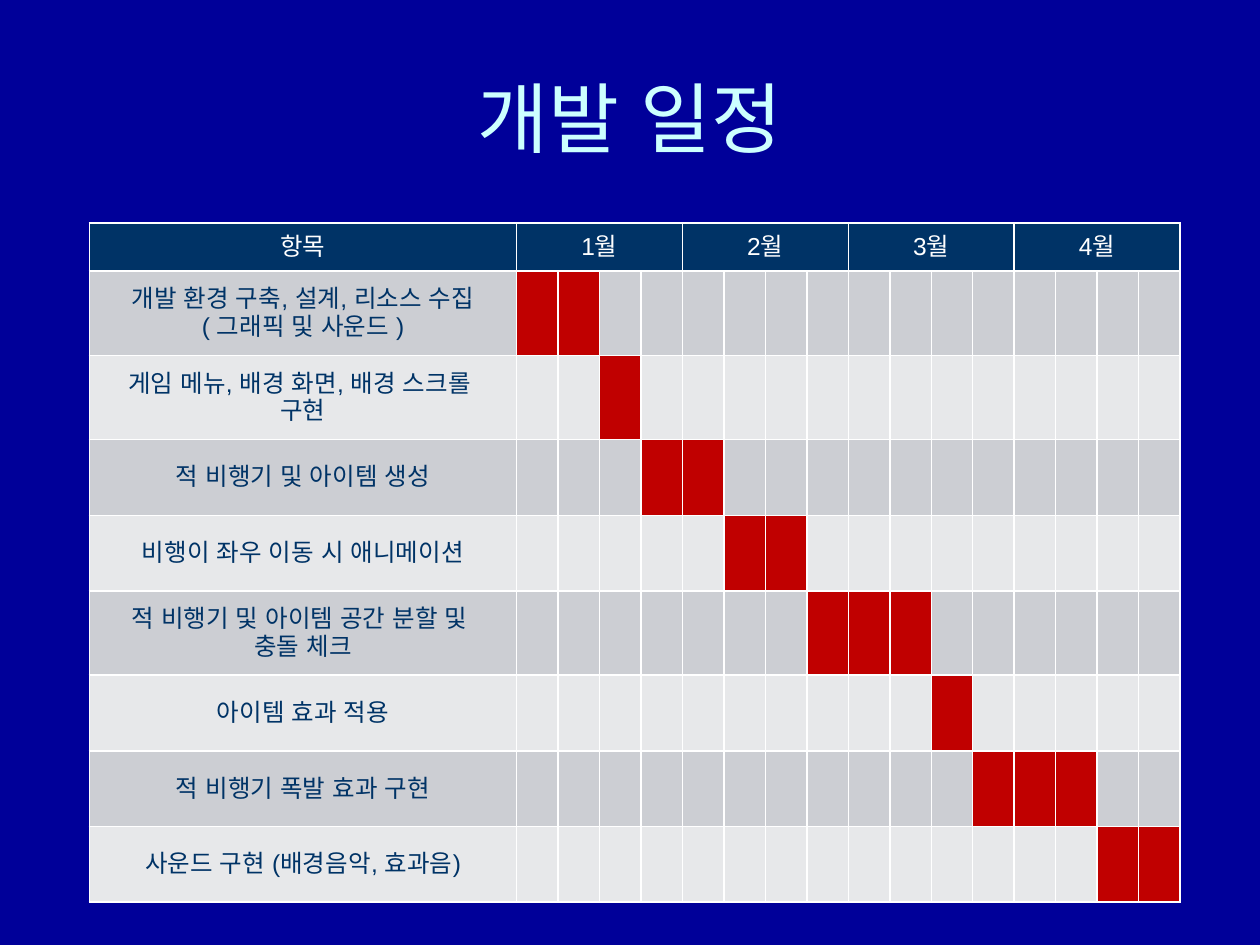
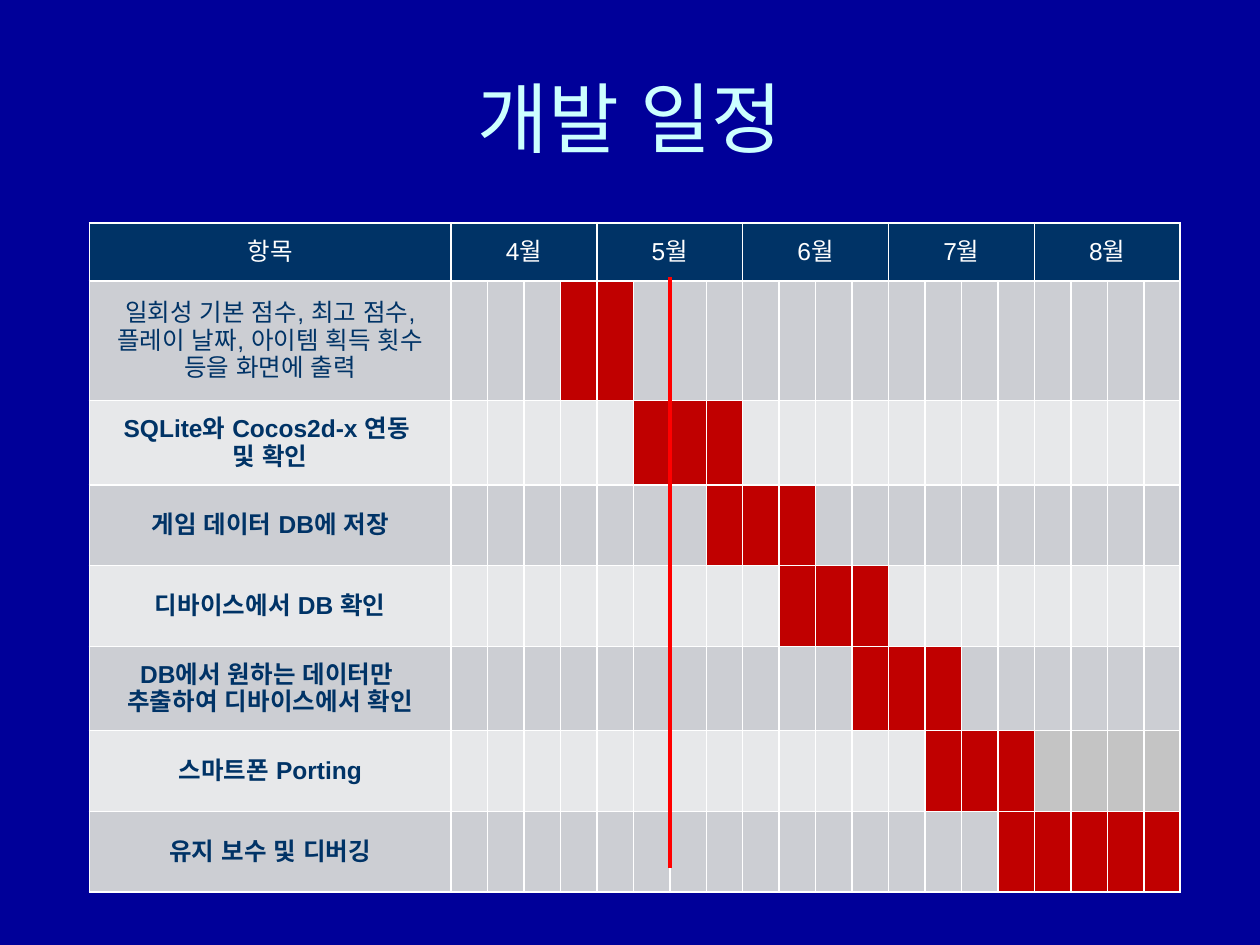
from dataclasses import dataclass

import lxml.etree
import pptx
import pptx.dml.color
import pptx.enum.shapes
import pptx.enum.text
import pptx.oxml.ns
import pptx.util
from pptx.util import Inches

FONT = "Arial"
BACKGROUND, TITLE_COLOR, WHITE = "000099", "CCFFFF", "FFFFFF"
NAVY, BUSY, IDLE, TODAY = "003366", "C00000", "C4C4C4", "FF0000"
BANDS = ("CCCED3", "E7E8EA")
WEEKS = 4
TABLE_LEFT, TABLE_TOP, TABLE_WIDTH = 0.71, 1.77, 8.66


@dataclass
class Task:
    """A schedule row; weeks count from zero."""
    text: str
    start: int
    length: int
    height: float
    bold: bool = False
    idle: int = 0


@dataclass
class Schedule:
    """One page of the development schedule."""
    months: range
    label_width: float
    header_height: float
    tasks: list[Task]


SCHEDULES = [
    Schedule(range(1, 5), 3.39, 0.38, [
        Task("개발 환경 구축, 설계, 리소스 수집\n( 그래픽 및 사운드 )", 0, 2, 0.67),
        Task("게임 메뉴, 배경 화면, 배경 스크롤 \n구현", 2, 1, 0.67),
        Task("적 비행기 및 아이템 생성", 3, 2, 0.6),
        Task("비행이 좌우 이동 시 애니메이션", 5, 2, 0.6),
        Task("적 비행기 및 아이템 공간 분할 및 \n충돌 체크", 7, 3, 0.67),
        Task("아이템 효과 적용", 10, 1, 0.6),
        Task("적 비행기 폭발 효과 구현", 11, 3, 0.6),
        Task("사운드 구현 (배경음악, 효과음)", 14, 2, 0.6),
    ]),
    Schedule(range(4, 9), 2.87, 0.46, [
        Task("일회성 기본 점수, 최고 점수, 플레이 날짜, 아이템 획득 횟수 등을 화면에 출력", 3, 2, 0.95),
        Task("SQLite와 Cocos2d-x 연동 \n및 확인", 5, 3, 0.67, True),
        Task("게임 데이터 DB에 저장", 7, 3, 0.64, True),
        Task("디바이스에서 DB 확인", 9, 3, 0.64, True),
        Task("DB에서 원하는 데이터만 \n추출하여 디바이스에서 확인", 11, 3, 0.67, True),
        Task("스마트폰 Porting", 13, 3, 0.64, True, idle=4),
        Task("유지 보수 및 디버깅", 15, 5, 0.64, True),
    ]),
]


def rgb(value: str) -> pptx.dml.color.RGBColor:
    """Turn a hex string into a colour."""
    return pptx.dml.color.RGBColor.from_string(value)


def write(frame, text: str, size: float, color: str, bold: bool = False) -> None:
    """Write centred text with one format."""
    frame.text = text
    for para in frame.paragraphs:
        para.alignment = pptx.enum.text.PP_ALIGN.CENTER
        para.font.size = pptx.util.Pt(size)
        for span in para.runs:
            span.font.size = pptx.util.Pt(size)
            span.font.bold = bold
            span.font.color.rgb = rgb(color)
            span.font.name = FONT
            properties = span._r.get_or_add_rPr()
            lxml.etree.SubElement(properties, pptx.oxml.ns.qn("a:ea"), typeface=FONT)


def style_cell(cell, fill: str, text: str = "", color: str = NAVY, bold: bool = False) -> None:
    """Fill, border and label a table cell."""
    write(cell.text_frame, text, 14, color, bold)
    cell.vertical_anchor = pptx.enum.text.MSO_ANCHOR.MIDDLE
    cell.fill.solid()
    cell.fill.fore_color.rgb = rgb(fill)
    properties = cell._tc.get_or_add_tcPr()
    qn = pptx.oxml.ns.qn
    for index, side in enumerate(("a:lnL", "a:lnR", "a:lnT", "a:lnB")):
        border = lxml.etree.Element(qn(side), w=str(pptx.util.Pt(1)))
        paint = lxml.etree.SubElement(border, qn("a:solidFill"))
        lxml.etree.SubElement(paint, qn("a:srgbClr"), val=WHITE)
        properties.insert(index, border)


def add_page(deck):
    """Add a page with the shared background and title."""
    page = deck.slides.add_slide(deck.slide_layouts[6])
    page.background.fill.solid()
    page.background.fill.fore_color.rgb = rgb(BACKGROUND)
    box = page.shapes.add_textbox(Inches(0.5), Inches(0.3), Inches(9), Inches(1.25))
    box.text_frame.word_wrap = True
    box.text_frame.vertical_anchor = pptx.enum.text.MSO_ANCHOR.MIDDLE
    write(box.text_frame, "개발 일정", 44, TITLE_COLOR)
    return page


def add_schedule(page, schedule: Schedule) -> None:
    """Draw a schedule as a table of weeks."""
    week_count = len(schedule.months) * WEEKS
    heights = [schedule.header_height] + [task.height for task in schedule.tasks]
    table = page.shapes.add_table(
        len(heights), week_count + 1, Inches(TABLE_LEFT), Inches(TABLE_TOP),
        Inches(TABLE_WIDTH), Inches(sum(heights))).table
    for row, height in zip(table.rows, heights):
        row.height = Inches(height)
    week_width = (TABLE_WIDTH - schedule.label_width) / week_count
    for index, column in enumerate(table.columns):
        column.width = Inches(week_width if index else schedule.label_width)

    style_cell(table.cell(0, 0), NAVY, "항목", WHITE)
    for week in range(week_count):
        month = schedule.months[week // WEEKS]
        style_cell(table.cell(0, week + 1), NAVY, "" if week % WEEKS else f"{month}월", WHITE)
    for first in range(1, week_count, WEEKS):
        table.cell(0, first).merge(table.cell(0, first + WEEKS - 1))

    for index, task in enumerate(schedule.tasks):
        band = BANDS[index % 2]
        style_cell(table.cell(index + 1, 0), band, task.text, bold=task.bold)
        for week in range(week_count):
            fill = IDLE if week >= week_count - task.idle else band
            if task.start <= week < task.start + task.length:
                fill = BUSY
            style_cell(table.cell(index + 1, week + 1), fill)


def add_today_line(page) -> None:
    """Mark the current date across the schedule."""
    line = page.shapes.add_connector(
        pptx.enum.shapes.MSO_CONNECTOR.STRAIGHT,
        Inches(5.32), Inches(2.2), Inches(5.32), Inches(6.89))
    line.line.color.rgb = rgb(TODAY)
    line.line.width = pptx.util.Pt(2.5)
    lxml.etree.SubElement(line._element.spPr, pptx.oxml.ns.qn("a:effectLst"))


def main() -> None:
    """Build both schedule pages."""
    deck = pptx.Presentation()
    deck.slide_width, deck.slide_height = Inches(10), Inches(7.5)
    for schedule in SCHEDULES:
        page = add_page(deck)
        add_schedule(page, schedule)
    add_today_line(page)
    deck.save("out.pptx")


if __name__ == "__main__":
    main()
